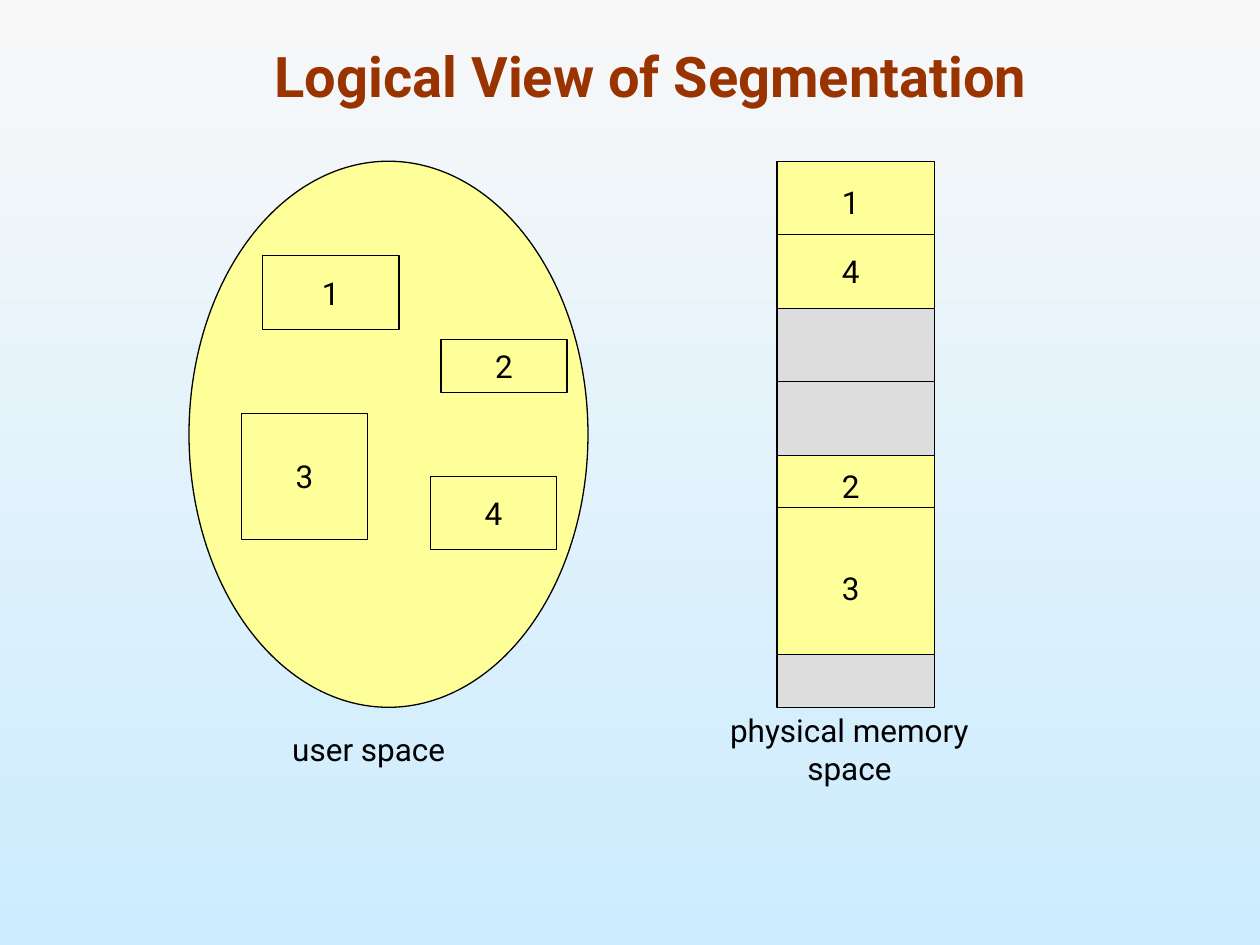
from lxml import etree
from pptx import Presentation
from pptx import util as u
from pptx.dml import color
from pptx.enum import shapes, text
from pptx.oxml import ns

UNIT = 1 / 12
LEFT, TOP = 1.5, 1.28
YELLOW, GREY, BLACK = "FFFF99", "DDDDDD", "000000"
BODY = {"size": u.Pt(18), "name": "Roboto", "bold": False}
HEAD = {"size": u.Pt(32), "name": "Roboto", "bold": True}
MID = {"word_wrap": False, "vertical_anchor": text.MSO_ANCHOR.MIDDLE}
WRAP = {**MID, "word_wrap": True}
LOW = {"word_wrap": True, "vertical_anchor": text.MSO_ANCHOR.BOTTOM}
MEM, WIDE = 56, 15


def paint(part, code):
    if hasattr(part, "solid"):
        part.solid()
        part = part.fore_color
    elif hasattr(part, "color"):
        part = part.color
    part.rgb = color.RGBColor.from_string(code)


def apply(item, style):
    for key, val in style.items():
        setattr(item, key, val)


def place(col, row):
    return u.Inches(LEFT + col * UNIT), u.Inches(TOP + row * UNIT)


def span(cols, rows):
    return u.Inches(cols * UNIT), u.Inches(rows * UNIT)


def write(shape, words, font=BODY, frame=MID, code=BLACK):
    apply(shape.text_frame, frame)
    para = shape.text_frame.paragraphs[0]
    para.alignment = text.PP_ALIGN.CENTER
    run = para.add_run()
    run.text = words
    apply(run.font, font)
    paint(run.font, code)


def edge(line):
    paint(line.fill, BLACK)
    line.width = u.Pt(0.75)


def block(host, kind, col, row, cols, rows, code=YELLOW):
    shape = host.add_shape(kind, *place(col, row), *span(cols, rows))
    shape.shadow.inherit = False
    paint(shape.fill, code)
    edge(shape.line)
    return shape


def rule(host, col, row, cols):
    line = host.add_connector(shapes.MSO_CONNECTOR.STRAIGHT,
                              *place(col, row), *place(col + cols, row))
    edge(line.line)
    etree.SubElement(line._element.spPr, ns.qn("a:effectLst"))


def label(host, words, col, row, cols, rows=4.8, **look):
    box = host.add_textbox(*place(col, row), *span(cols, rows))
    write(box, words, **look)


def shade(slide):
    fill = slide.background.fill
    fill.gradient()
    fill.gradient_angle = 270
    for stop, pos, code in zip(fill.gradient_stops, (0, 1), ("F8F8F8", "CCECFF")):
        stop.position = pos
        paint(stop.color, code)


def user(host):
    block(host, shapes.MSO_SHAPE.OVAL, 0, 0, 38, 52)
    for name, *area in (("1", 7, 9, 13, 7), ("3", 5, 24, 12, 12),
                        ("2", 24, 17, 12, 5), ("4", 23, 30, 12, 7)):
        write(block(host, shapes.MSO_SHAPE.RECTANGLE, *area), name)


def memory(host):
    row = 0
    for rows, code in ((14, YELLOW), (14, GREY), (19, YELLOW), (5, GREY)):
        block(host, shapes.MSO_SHAPE.RECTANGLE, MEM, row, WIDE, rows, code)
        row += rows
    for row in (7, 21, 33):
        rule(host, MEM, row, WIDE)
    for name, row in (("1", 1.5), ("4", 8), ("2", 28.5), ("3", 38.2)):
        label(host, name, MEM + 5, row, 4)


def main():
    deck = Presentation()
    deck.slide_width, deck.slide_height = u.Inches(10), u.Inches(7.5)
    slide = deck.slides.add_slide(deck.slide_layouts[6])
    shade(slide)
    host = slide.shapes
    label(host, "Logical View of Segmentation", -9, -12.4, 106, 8,
          font=HEAD, frame=LOW, code="993300")
    user(host)
    memory(host.add_group_shape().shapes)
    label(host, "user space ", 8.5, 53.6, 18)
    label(host, "physical memory space", 46.1, 53.6, 33.6, frame=WRAP)
    deck.save("out.pptx")


if __name__ == "__main__":
    main()
